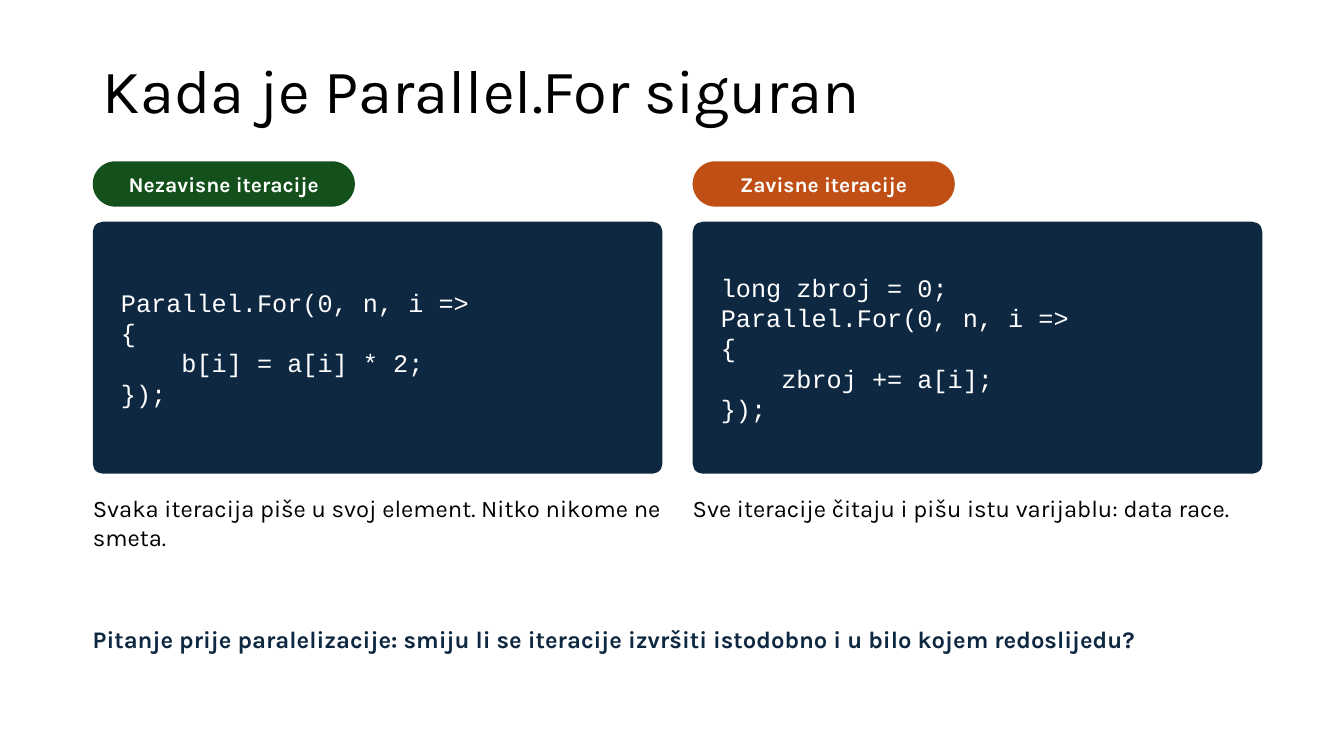
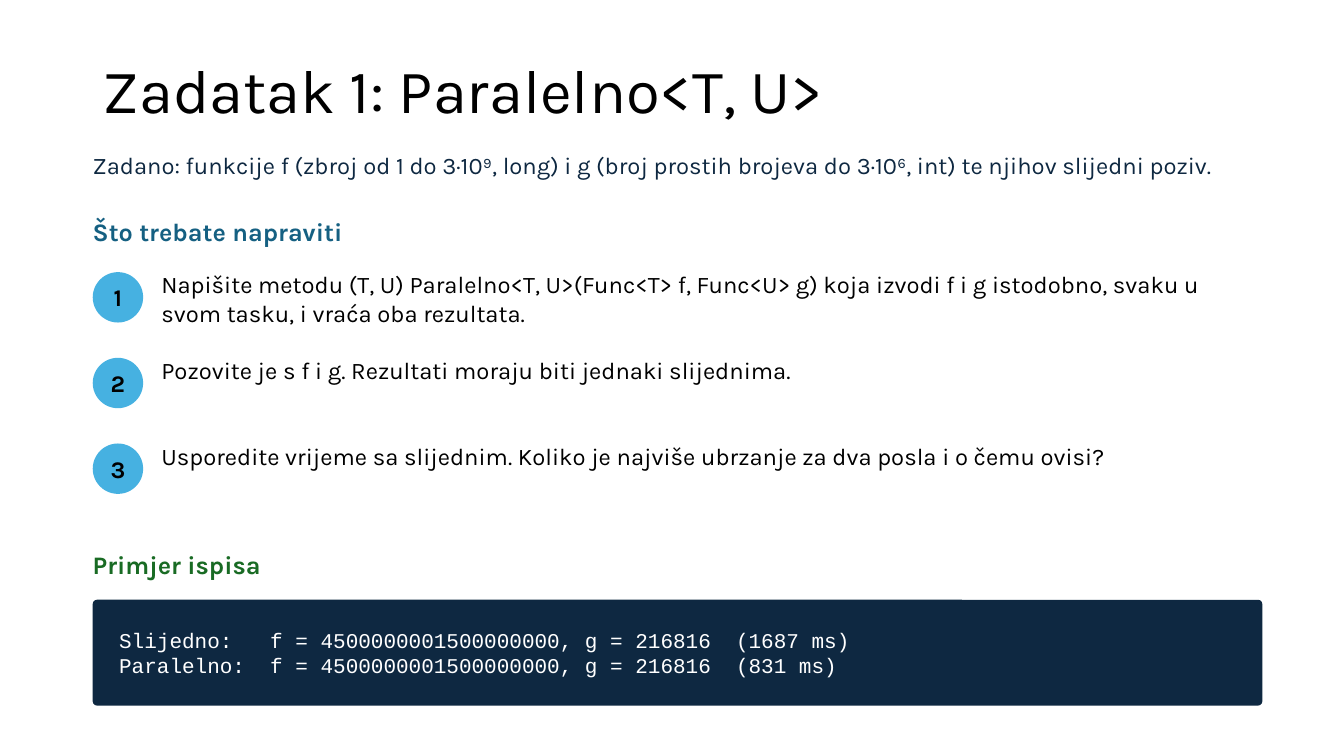
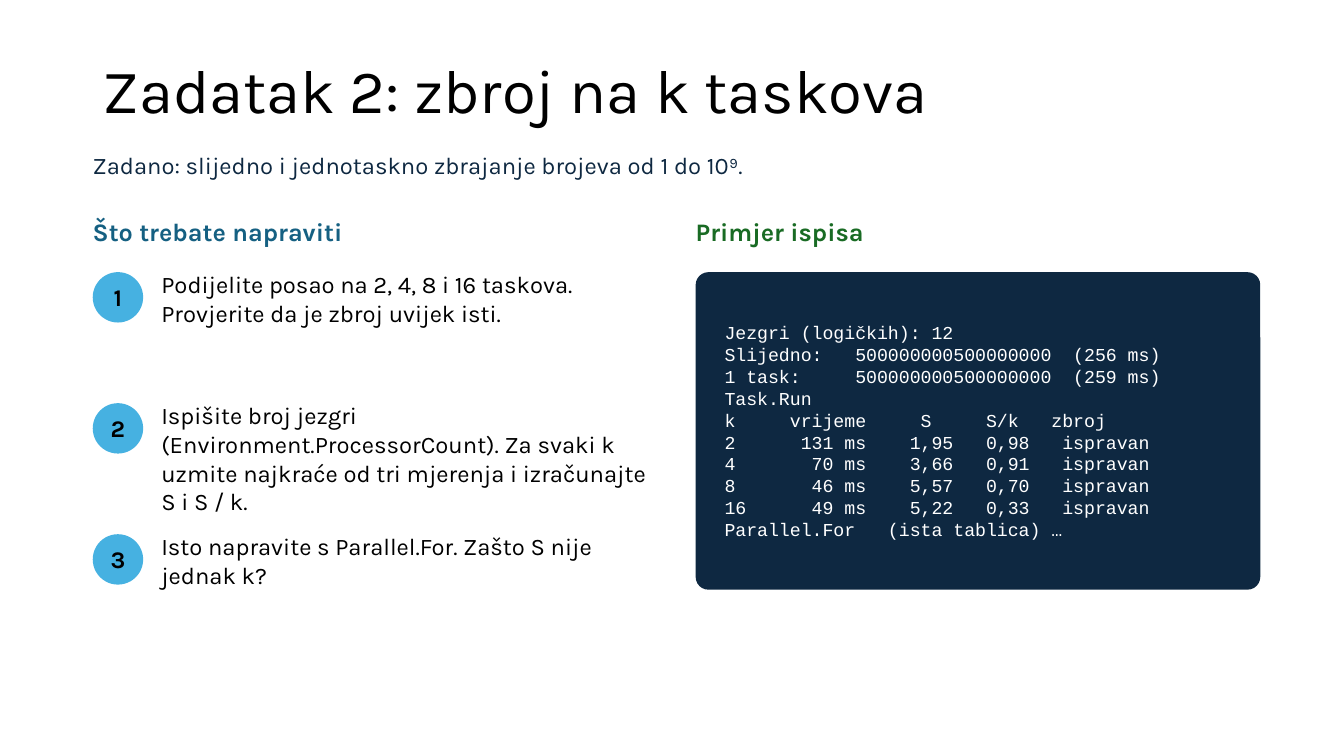
from pptx import Presentation
from pptx.dml.color import RGBColor
from pptx.enum.shapes import MSO_SHAPE as Preset
from pptx.enum.text import MSO_ANCHOR as Anchor, MSO_AUTO_SIZE as AutoSize, PP_ALIGN as Align
from pptx.util import Inches, Pt

COLORS = {
    "black": "000000",
    "white": "FFFFFF",
    "navy": "0E2841",
    "blue": "156082",
    "sky": "46B1E1",
    "green": "196B24",
    "dark_green": "13501B",
    "orange": "C04F15",
}
BODY_FONT = "Karla"
CODE_FONT = "Courier New"
LEFT = 0.92
FULL_WIDTH = 11.6

# Text formats that recur on the slides
HEADING = {"size": 18, "bold": True}
INTRO = {"color": "navy"}
PILL = {"preset": Preset.ROUNDED_RECTANGLE, "radius": 0.5, "size": 15, "bold": True,
        "color": "white", "align": Align.CENTER, "anchor": Anchor.MIDDLE,
        "insets": (0.05, 0.02, 0.05, 0.02)}
NUMBER = {"preset": Preset.OVAL, "fill": "sky", "bold": True, "align": Align.CENTER,
          "anchor": Anchor.MIDDLE, "insets": (0.05, 0.02, 0.05, 0.02)}
CODE = {"preset": Preset.ROUNDED_RECTANGLE, "radius": 0.04, "fill": "navy",
        "font": CODE_FONT, "color": "white", "anchor": Anchor.MIDDLE,
        "insets": (0.25, 0.05, 0.1, 0.05)}


def write(shape, text, size=17, color="black", font=BODY_FONT, bold=False, align=Align.LEFT,
          anchor=Anchor.TOP, insets=(0, 0, 0, 0), line_spacing=None, auto_size=AutoSize.NONE):
    """Fill a shape with text, one paragraph for each line."""
    frame = shape.text_frame
    frame.word_wrap = True
    frame.auto_size = auto_size
    frame.vertical_anchor = anchor
    frame.margin_left, frame.margin_top, frame.margin_right, frame.margin_bottom = map(Inches, insets)
    frame.text = text
    for paragraph in frame.paragraphs:
        paragraph.alignment = align
        paragraph.line_spacing = line_spacing
        paragraph.font.name = font
        paragraph.font.size = Pt(size)
        paragraph.font.bold = bold
        paragraph.font.color.rgb = RGBColor.from_string(COLORS[color])


def add_block(slide, box, text, preset=None, fill=None, radius=None, **text_format):
    """Add a text box, or a filled shape when a preset is given."""
    position = [Inches(length) for length in box]
    if preset is None:
        shape = slide.shapes.add_textbox(*position)
        text_format["auto_size"] = AutoSize.SHAPE_TO_FIT_TEXT
    else:
        shape = slide.shapes.add_shape(preset, *position)
        shape.shadow.inherit = False
        shape.fill.solid()
        shape.fill.fore_color.rgb = RGBColor.from_string(COLORS[fill])
        shape.line.fill.background()
        if radius is not None:
            shape.adjustments[0] = radius
    write(shape, text, **text_format)


presentation = Presentation()
presentation.slide_width = Inches(13.33)
presentation.slide_height = Inches(7.5)
title_only = presentation.slide_layouts[5]

slides = []
for title_text in ("Kada je Parallel.For siguran",
                   "Zadatak 1: Paralelno<T, U>",
                   "Zadatak 2: zbroj na k taskova"):
    slide = presentation.slides.add_slide(title_only)
    title = slide.shapes.title
    title.left, title.top = Inches(LEFT), Inches(0.4)
    title.width, title.height = Inches(11.5), Inches(1.06)
    write(title, title_text, size=44, anchor=Anchor.MIDDLE,
          insets=(0.1, 0.05, 0.1, 0.05), line_spacing=0.9)
    slides.append(slide)
safety_slide, first_task_slide, second_task_slide = slides

# Slide 1: independent and dependent iterations side by side
column_width, column_gap = 5.65, 0.3
comparison = [
    ("Nezavisne iteracije", "dark_green",
     "Parallel.For(0, n, i =>\n"
     "{\n"
     "    b[i] = a[i] * 2;\n"
     "});",
     "Svaka iteracija piše u svoj element. Nitko nikome ne smeta."),
    ("Zavisne iteracije", "orange",
     "long zbroj = 0;\n"
     "Parallel.For(0, n, i =>\n"
     "{\n"
     "    zbroj += a[i];\n"
     "});",
     "Sve iteracije čitaju i pišu istu varijablu: data race."),
]
for column, (label, label_fill, code, explanation) in enumerate(comparison):
    left = LEFT + column * (column_width + column_gap)
    add_block(safety_slide, (left, 1.6, 2.6, 0.45), label, fill=label_fill, **PILL)
    add_block(safety_slide, (left, 2.2, column_width, 2.5), code, size=18, **CODE)
    add_block(safety_slide, (left, 4.9, column_width, 1.2), explanation)
add_block(safety_slide, (LEFT, 6.2, FULL_WIDTH, 0.6),
          "Pitanje prije paralelizacije: smiju li se iteracije izvršiti istodobno "
          "i u bilo kojem redoslijedu?", color="navy", bold=True)

# Slides 2 and 3: a task with numbered steps and a sample output
tasks = [
    {
        "slide": first_task_slide,
        "given": "Zadano: funkcije f (zbroj od 1 do 3·10⁹, long) i g (broj prostih brojeva "
                 "do 3·10⁶, int) te njihov slijedni poziv.",
        "steps": [
            "Napišite metodu (T, U) Paralelno<T, U>(Func<T> f, Func<U> g) koja izvodi f i g "
            "istodobno, svaku u svom tasku, i vraća oba rezultata.",
            "Pozovite je s f i g. Rezultati moraju biti jednaki slijednima.",
            "Usporedite vrijeme sa slijednim. Koliko je najviše ubrzanje za dva posla "
            "i o čemu ovisi?",
        ],
        "step_width": 10.9,
        "step_pitch": 0.85,
        "output_heading_box": (LEFT, 5.45, 6.6, 0.4),
        "output_box": (LEFT, 5.95, FULL_WIDTH, 1.05),
        "output_size": 15,
        "output": "Slijedno:   f = 4500000001500000000, g = 216816  (1687 ms)\n"
                  "Paralelno:  f = 4500000001500000000, g = 216816  (831 ms)",
    },
    {
        "slide": second_task_slide,
        "given": "Zadano: slijedno i jednotaskno zbrajanje brojeva od 1 do 10⁹.",
        "steps": [
            "Podijelite posao na 2, 4, 8 i 16 taskova. Provjerite da je zbroj uvijek isti.",
            "Ispišite broj jezgri (Environment.ProcessorCount). Za svaki k uzmite najkraće "
            "od tri mjerenja i izračunajte S i S / k.",
            "Isto napravite s Parallel.For. Zašto S nije jednak k?",
        ],
        "step_width": 5,
        "step_pitch": 1.3,
        "output_heading_box": (6.9, 2.15, 5.6, 0.4),
        "output_box": (6.9, 2.7, 5.6, 3.15),
        "output_size": 13,
        "output": "Jezgri (logičkih): 12\n"
                  "Slijedno:   500000000500000000  (256 ms)\n"
                  "1 task:     500000000500000000  (259 ms)\n"
                  "Task.Run\n"
                  "k     vrijeme     S     S/k   zbroj\n"
                  "2      131 ms    1,95   0,98   ispravan\n"
                  "4       70 ms    3,66   0,91   ispravan\n"
                  "8       46 ms    5,57   0,70   ispravan\n"
                  "16      49 ms    5,22   0,33   ispravan\n"
                  "Parallel.For   (ista tablica) …",
    },
]
for task in tasks:
    slide = task["slide"]
    pitch = task["step_pitch"]
    add_block(slide, (LEFT, 1.5, FULL_WIDTH, 0.5), task["given"], **INTRO)
    add_block(slide, (LEFT, 2.15, 6.6, 0.4), "Što trebate napraviti", color="blue", **HEADING)
    for index, step in enumerate(task["steps"]):
        top = 2.7 + index * pitch
        add_block(slide, (LEFT, top, 0.5, 0.5), str(index + 1), **NUMBER)
        add_block(slide, (1.6, top - 0.02, task["step_width"], pitch), step)
    add_block(slide, task["output_heading_box"], "Primjer ispisa", color="green", **HEADING)
    add_block(slide, task["output_box"], task["output"], size=task["output_size"], **CODE)

presentation.save("out.pptx")
